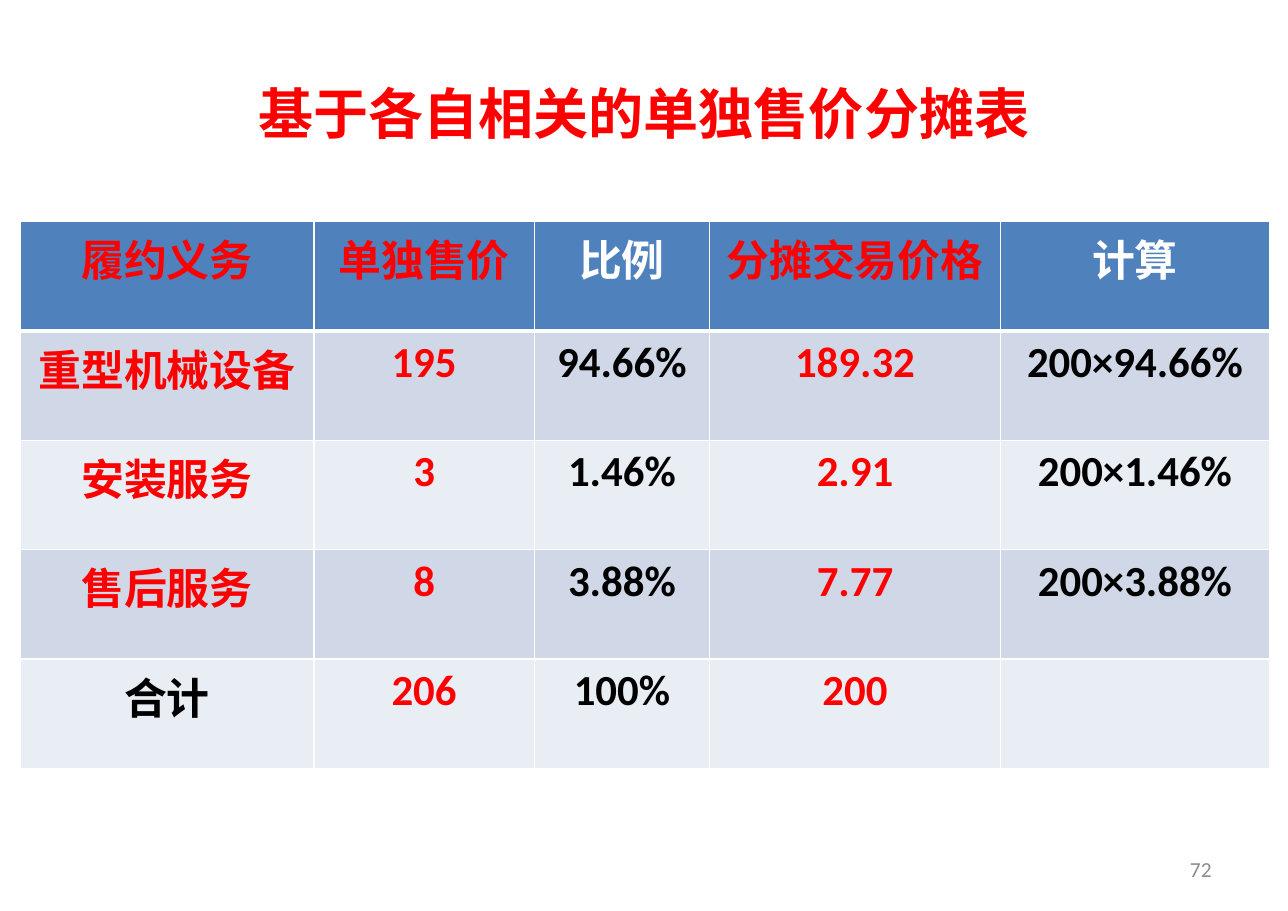
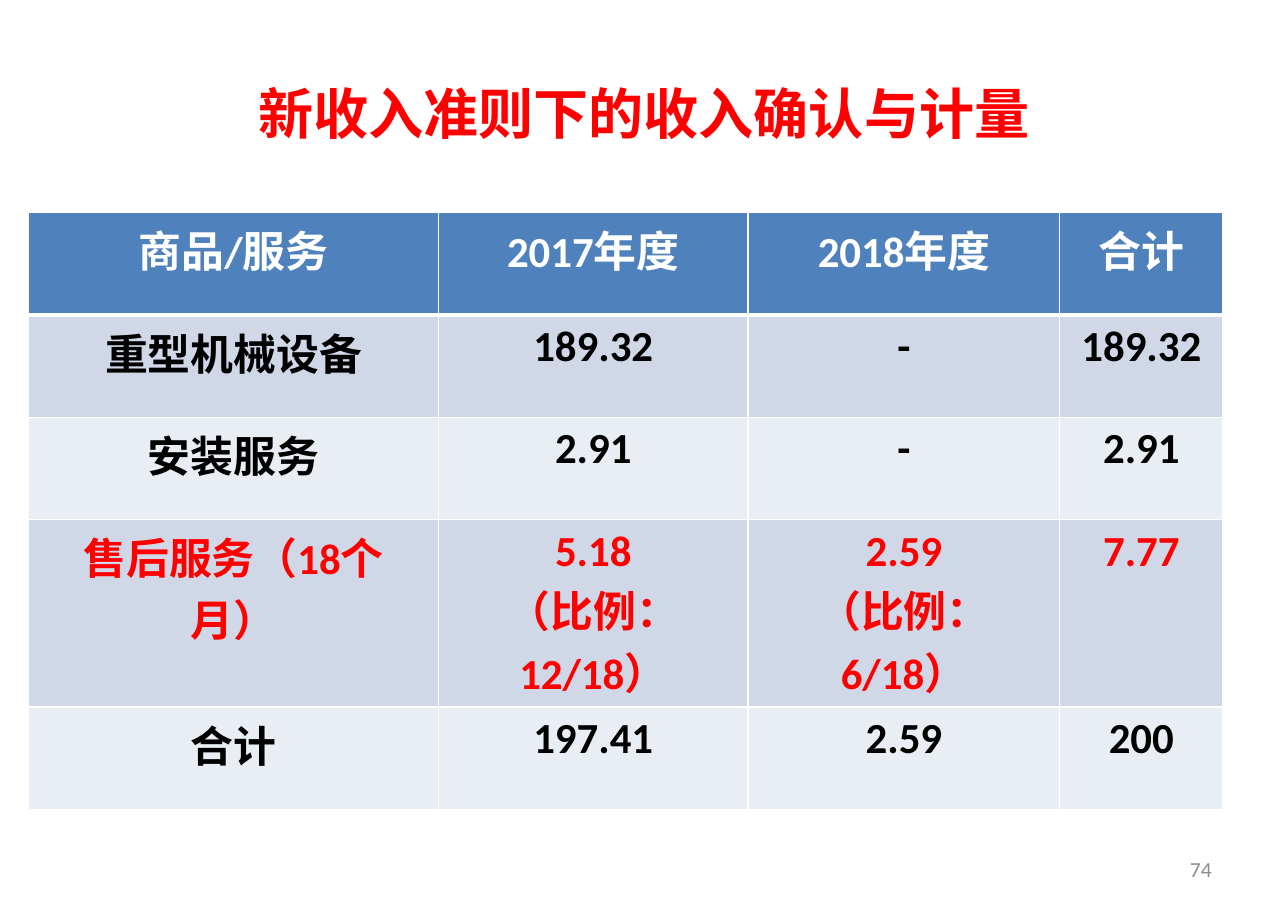
from dataclasses import dataclass

from lxml.etree import SubElement
from pptx import Presentation
from pptx.dml.color import RGBColor
from pptx.enum.text import MSO_ANCHOR, PP_ALIGN
from pptx.oxml.ns import qn
from pptx.util import Cm, Pt


@dataclass(frozen=True)
class Theme:
    font: str = "Calibri"
    red: str = "FF0000"
    black: str = "000000"
    white: str = "FFFFFF"
    grey: str = "8C8C8C"
    header: str = "4F81BD"
    bands: tuple = ("D0D8E8", "E9EDF4")
    title_size: int = 36
    table_size: int = 28
    number_size: int = 14
    thin: int = 1
    thick: int = 3
    inset_x: float = 0.28
    inset_y: float = 0.13


def write(tf, text, *, font, size, color, bold=False, align=PP_ALIGN.CENTER):
    """Fill a text frame, one paragraph per line of text."""
    for i, line in enumerate(text.split("\n")):
        p = tf.paragraphs[0] if i == 0 else tf.add_paragraph()
        p.alignment = align
        if line:
            r = p.add_run()
            r.text = line
            r.font.name = font
            r.font.size = Pt(size)
            r.font.bold = bold
            r.font.color.rgb = RGBColor.from_string(color)


def set_borders(cell, color, **widths):
    """Draw cell edges; widths are points keyed by L, R, T and B."""
    tcPr = cell._tc.get_or_add_tcPr()
    for side, width in widths.items():
        ln = SubElement(tcPr, qn(f"a:ln{side}"), w=str(Pt(width)))
        fill = SubElement(ln, qn("a:solidFill"))
        SubElement(fill, qn("a:srgbClr"), val=color)


class Deck:
    def __init__(self, theme):
        self.theme = theme
        self.prs = Presentation()
        self.prs.slide_width, self.prs.slide_height = Cm(29.7), Cm(21)
        self.s = None

    def add_slide(self, title, number):
        t = self.theme
        self.s = self.prs.slides.add_slide(self.prs.slide_layouts[6])
        self.text_box(title, 1.47, 0.84, 26.75, 3.5,
                      size=t.title_size, color=t.red, bold=True)
        self.text_box(str(number), 21.29, 19.46, 6.93, 1.12,
                      size=t.number_size, color=t.grey, align=PP_ALIGN.RIGHT)

    def text_box(self, text, x, y, w, h, **fmt):
        t = self.theme
        tf = self.s.shapes.add_textbox(Cm(x), Cm(y), Cm(w), Cm(h)).text_frame
        tf.word_wrap = True
        tf.vertical_anchor = MSO_ANCHOR.MIDDLE
        tf.margin_left = tf.margin_right = Cm(t.inset_x)
        tf.margin_top = tf.margin_bottom = Cm(t.inset_y)
        write(tf, text, font=t.font, **fmt)

    def table(self, rows, x, y, col_widths, row_heights, is_red):
        """Add a banded table; is_red(row, column) picks the highlighted cells."""
        table = self.s.shapes.add_table(
            len(rows), len(col_widths), Cm(x), Cm(y),
            Cm(sum(col_widths)), Cm(sum(row_heights))).table
        for col, width in zip(table.columns, col_widths):
            col.width = Cm(width)
        for i, (row, height) in enumerate(zip(rows, row_heights)):
            table.rows[i].height = Cm(height)
            for j, text in enumerate(row):
                self.table_cell(table.cell(i, j), text, i, is_red(i, j))

    def table_cell(self, cell, text, row, red):
        t = self.theme
        cell.margin_left = cell.margin_right = Cm(t.inset_x)
        cell.margin_top = cell.margin_bottom = Cm(t.inset_y)
        set_borders(cell, t.white, L=t.thin, R=t.thin,
                    T=t.thick if row == 1 else t.thin,
                    B=t.thick if row == 0 else t.thin)
        cell.fill.solid()
        fill = t.header if row == 0 else t.bands[(row - 1) % 2]
        cell.fill.fore_color.rgb = RGBColor.from_string(fill)
        plain = t.white if row == 0 else t.black
        write(cell.text_frame, text, font=t.font, size=t.table_size,
              color=t.red if red else plain, bold=True)


def main():
    deck = Deck(Theme())

    deck.add_slide("基于各自相关的单独售价分摊表", 72)
    allocation = [
        ("履约义务", "单独售价", "比例", "分摊交易价格", "计算"),
        ("重型机械设备", "195", "94.66%", "189.32", "200×94.66%"),
        ("安装服务", "3", "1.46%", "2.91", "200×1.46%"),
        ("售后服务", "8", "3.88%", "7.77", "200×3.88%"),
        ("合计", "206", "100%", "200", ""),
    ]
    total_row = len(allocation) - 1
    deck.table(allocation, 0.46, 5.11, (6.78, 5.08, 4.04, 6.71, 6.2),
               [2.52] * len(allocation),
               lambda i, j: j in (0, 1, 3) and (i, j) != (total_row, 0))

    deck.add_slide("新收入准则下的收入确认与计量", 74)
    revenue = [
        ("商品/服务", "2017年度", "2018年度", "合计"),
        ("重型机械设备", "189.32", "-", "189.32"),
        ("安装服务", "2.91", "-", "2.91"),
        ("售后服务（18个月）", "5.18\n（比例：12/18）", "2.59\n（比例：6/18）", "7.77"),
        ("合计", "197.41", "2.59", "200"),
    ]
    service_row = 3
    heights = [2.36] * len(revenue)
    heights[service_row] = 4.32
    deck.table(revenue, 0.66, 4.9, (9.45, 7.14, 7.19, 3.76), heights,
               lambda i, j: i == service_row)

    deck.prs.save("out.pptx")


if __name__ == "__main__":
    main()
